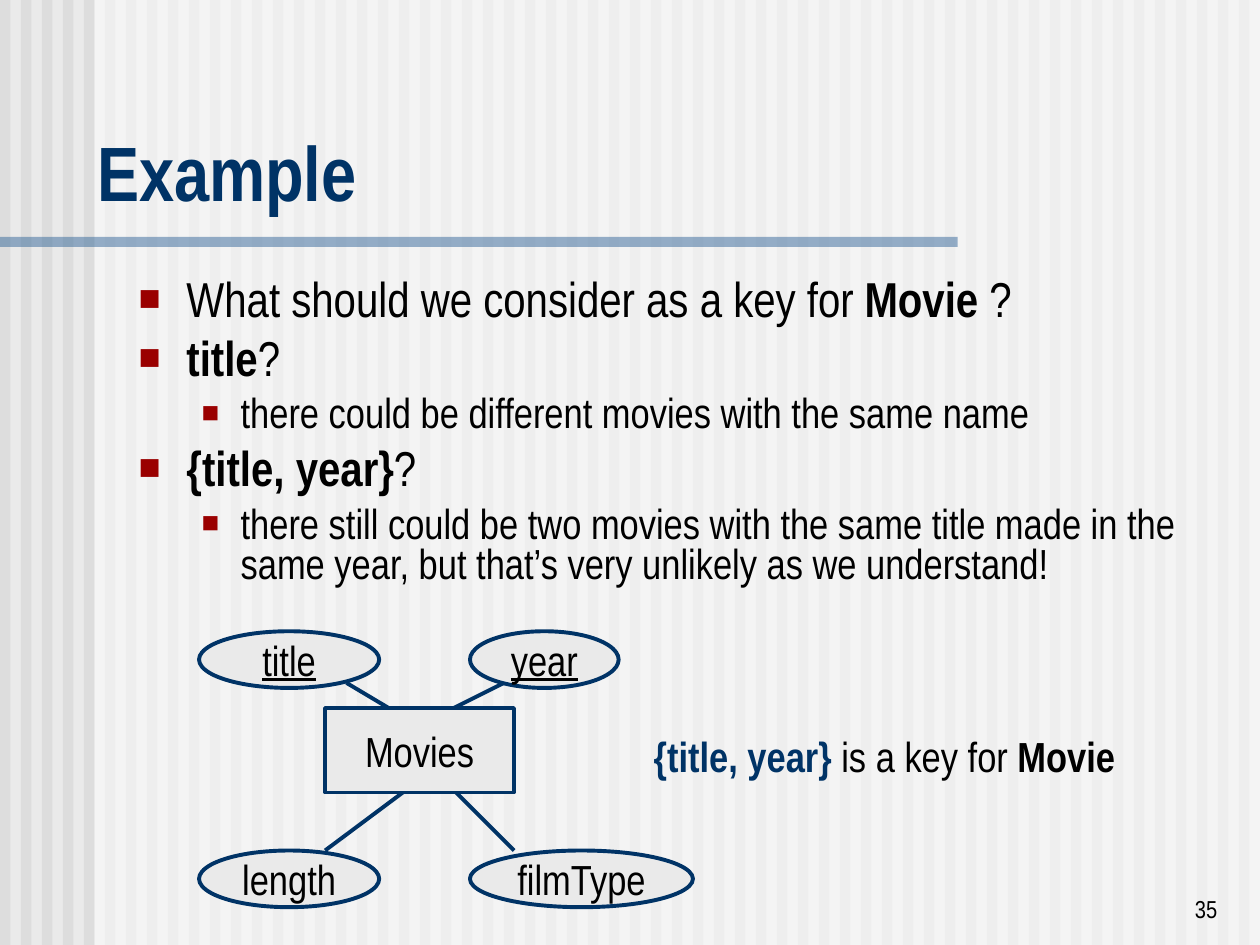
import pptx
import pptx.util
import pptx.dml.color
import pptx.enum.shapes
import pptx.enum.text
import pptx.oxml
import lxml.etree
from pptx.oxml.ns import qn

Inches, Pt = pptx.util.Inches, pptx.util.Pt
SHAPE = pptx.enum.shapes.MSO_SHAPE
ALIGN = pptx.enum.text.PP_ALIGN
ANCHOR = pptx.enum.text.MSO_ANCHOR

# Content: a text is a list of (words, style), style being "", "b" or "u"
WIDTH, HEIGHT = 10, 7.5
FONT = "Arial Narrow"
NAVY, BLACK, GRAY, STRIPE, BLUE, RED = (
    "003366", "000000", "EAEAEA", "DDDDDD", "336699", "9A0000")
TITLE = "Example"
BULLETS = [  # level, runs
    (0, [("What should we consider as a key for ", ""), ("Movie ", "b"), ("?", "")]),
    (0, [("title", "b"), ("?", "")]),
    (1, [("there could be different movies with the same name", "")]),
    (0, [("{title, year}", "b"), ("?", "")]),
    (1, [("there still could be two movies with the same title made in the "
          "same year, but that’s very unlikely as we understand!", "")]),
]
LEVELS = [  # text size, left margin, hanging indent, space before, bullet percent
    (28, 0.38, 0.38, 7, 75),
    (24, 0.81, 0.31, 6, 70),
]
ENTITY = ("Movies", (2.58, 5.62, 1.5, 0.67))
LEFT, RIGHT, UPPER, LOWER = 1.58, 3.73, 5.01, 6.75
ATTRIBUTES = [  # name, style, left, top, width, line from, line to
    ("length", "", LEFT, LOWER, 1.43, (2.58, 6.75), (3.25, 6.25)),
    ("filmType", "", RIGHT, LOWER, 1.77, (4.08, 6.75), (3.58, 6.25)),
    ("title", "u", LEFT, UPPER, 1.43, (2.75, 5.42), (3.17, 5.67)),
    ("year", "u", RIGHT, UPPER, 1.18, (4, 5.42), (3.5, 5.67)),
]
CONCLUSION = [("{title, year} ", "b", NAVY), ("is a key for ", ""), ("Movie", "b")]
PAGE_NUMBER = "35"


def color(value):
    return pptx.dml.color.RGBColor.from_string(value)


def inches(box):
    return [Inches(length) for length in box]


def write(paragraph, runs, size, align=ALIGN.LEFT):
    paragraph.alignment = align
    for words, style, *tint in runs:
        run = paragraph.add_run()
        run.text = words
        run.font.name = FONT
        run.font.size = Pt(size)
        run.font.bold = style == "b"
        run.font.underline = style == "u"
        run.font.color.rgb = color(tint[0] if tint else BLACK)


def add_shape(shapes, kind, box, fill, alpha=None, outlined=False):
    shape = shapes.add_shape(kind, *inches(box))
    shape.shadow.inherit = False
    shape.fill.solid()
    shape.fill.fore_color.rgb = color(fill)
    if alpha:
        tint = shape.element.spPr.find(qn("a:solidFill"))[0]
        lxml.etree.SubElement(tint, qn("a:alpha"), val=str(alpha * 1000))
    if outlined:
        shape.line.color.rgb = color(NAVY)
        shape.line.width = Pt(2.25)
    else:
        shape.line.fill.background()
    return shape


def add_node(kind, box, name, style=""):
    shape = add_shape(slide.shapes, kind, box, GRAY, outlined=True)
    shape.text_frame.word_wrap = False
    shape.text_frame.vertical_anchor = ANCHOR.MIDDLE
    write(shape.text_frame.paragraphs[0], [(name, style)], 24, ALIGN.CENTER)


def add_line(start, end):
    line = slide.shapes.add_connector(
        pptx.enum.shapes.MSO_CONNECTOR.STRAIGHT, *inches(start + end))
    line.line.color.rgb = color(NAVY)
    line.line.width = Pt(2.25)
    lxml.etree.SubElement(line.element.spPr, qn("a:effectLst"))


def add_bullet(paragraph, percent):
    properties = paragraph._p.get_or_add_pPr()
    tint = lxml.etree.SubElement(properties, qn("a:buClr"))
    lxml.etree.SubElement(tint, qn("a:srgbClr"), val=RED)
    lxml.etree.SubElement(properties, qn("a:buSzPct"), val=str(percent * 1000))
    lxml.etree.SubElement(properties, qn("a:buFont"), typeface="Arial")
    lxml.etree.SubElement(properties, qn("a:buChar"), char="■")


def place(shape, box, anchor):
    shape.left, shape.top, shape.width, shape.height = inches(box)
    frame = shape.text_frame
    frame.word_wrap = True
    frame.auto_size = pptx.enum.text.MSO_AUTO_SIZE.NONE
    frame.vertical_anchor = anchor
    return frame


presentation = pptx.Presentation()
presentation.slide_width, presentation.slide_height = inches((WIDTH, HEIGHT))
slide = presentation.slides.add_slide(presentation.slide_layouts[1])
slide.background.fill.solid()
slide.background.fill.fore_color.rgb = color(GRAY)

# Striped backdrop: sixty stripes, a pale veil and the rule under the title
backdrop = slide.shapes.add_group_shape()
pitch = WIDTH / 60
for index in range(60):
    add_shape(backdrop.shapes, SHAPE.RECTANGLE,
              (index * pitch, 0, pitch / 2, HEIGHT), STRIPE)
add_shape(backdrop.shapes, SHAPE.RECTANGLE, (0.75, 0, 9.25, HEIGHT), "FFFFFF", 50)
add_shape(backdrop.shapes, SHAPE.RECTANGLE, (0, 1.88, 7.6, 0.08), BLUE, 50)

# Title and list, brought in front of the backdrop
title, body = slide.placeholders
for placeholder in (title, body):
    backdrop.element.getparent().append(placeholder.element)
title_frame = place(title, (0.67, 0.94, 9.33, 0.83), ANCHOR.BOTTOM)
write(title_frame.paragraphs[0], [(TITLE, "b", NAVY)], 44)

body_frame = place(body, (1, 2.17, 8.87, 2.72), ANCHOR.TOP)
for index, (level, runs) in enumerate(BULLETS):
    paragraph = body_frame.add_paragraph() if index else body_frame.paragraphs[0]
    size, margin, hanging, space, percent = LEVELS[level]
    paragraph.level = level
    paragraph.line_spacing = 0.8
    paragraph.space_before = Pt(space if index else 0)
    properties = paragraph._p.get_or_add_pPr()
    properties.set("marL", str(Inches(margin)))
    properties.set("indent", str(-Inches(hanging)))
    add_bullet(paragraph, percent)
    write(paragraph, runs, size)

# Entity diagram
for name, style, left, top, width, start, end in ATTRIBUTES:
    add_node(SHAPE.OVAL, (left, top, width, 0.45), name, style)
for *_, start, end in ATTRIBUTES:
    add_line(start, end)
add_node(SHAPE.RECTANGLE, ENTITY[1], ENTITY[0])

# Conclusion and page number
conclusion = slide.shapes.add_textbox(*inches((5.09, 5.75, 3.86, 0.5)))
conclusion.text_frame.word_wrap = False
write(conclusion.text_frame.paragraphs[0], CONCLUSION, 24)

number = slide.shapes.add_textbox(*inches((7.68, 6.88, 2.08, 0.5)))
number_frame = place(number, (7.68, 6.88, 2.08, 0.5), ANCHOR.BOTTOM)
write(number_frame.paragraphs[0], [(PAGE_NUMBER, "")], 14, ALIGN.RIGHT)

presentation.save("out.pptx")
